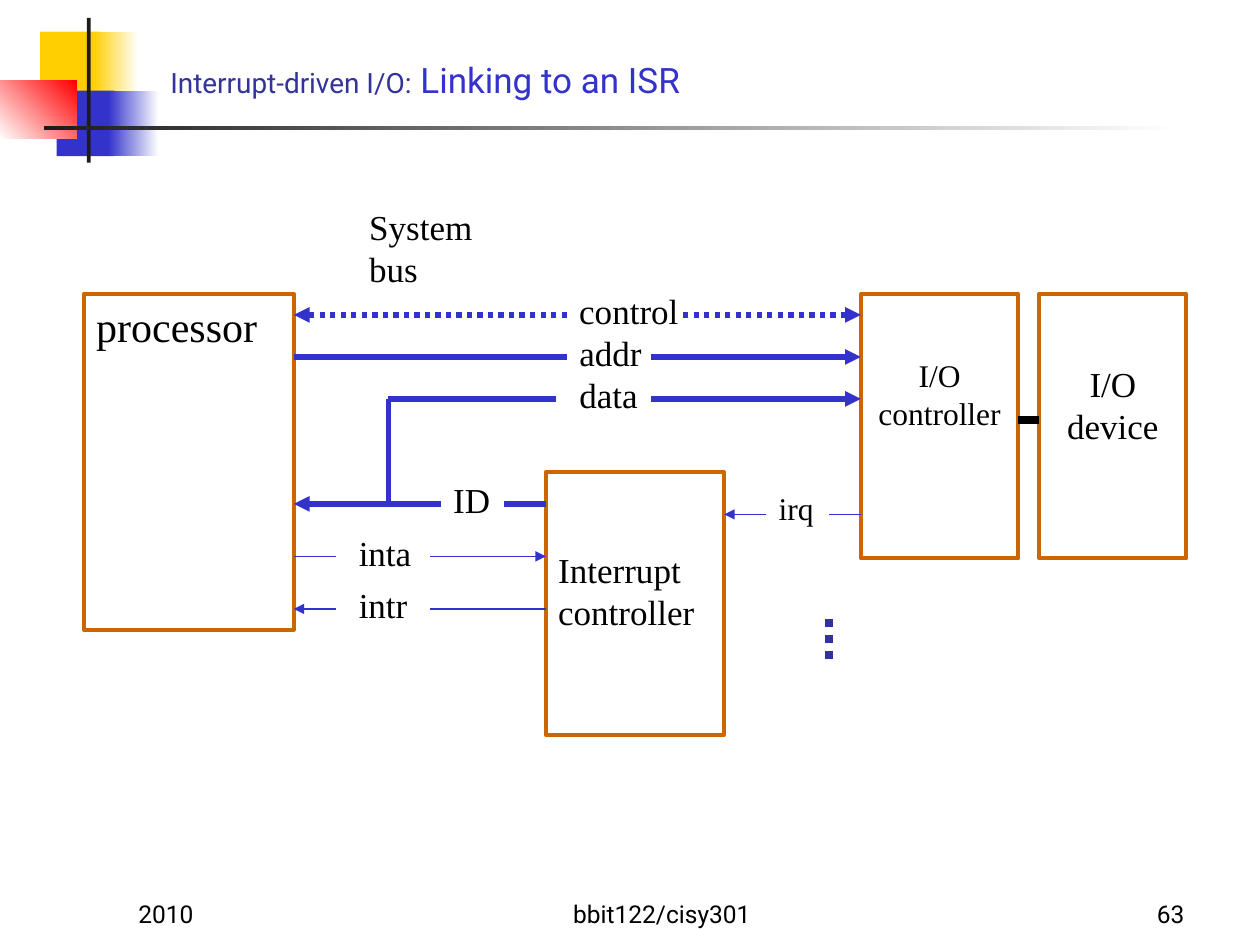
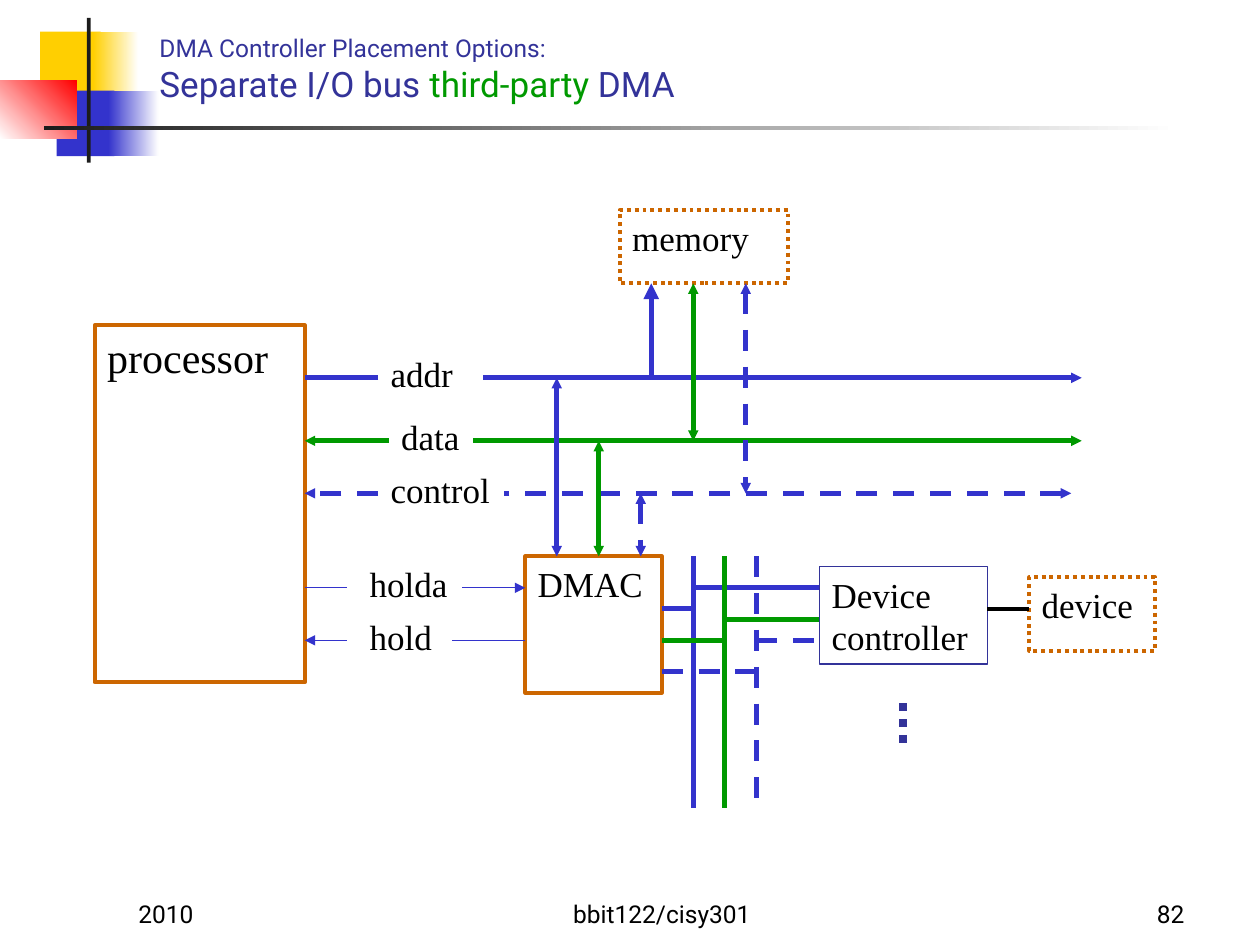
from dataclasses import dataclass, replace

from lxml.etree import SubElement
from pptx import Presentation
from pptx.dml.color import RGBColor
from pptx.enum.dml import MSO_LINE
from pptx.enum.shapes import MSO_CONNECTOR, MSO_SHAPE
from pptx.enum.text import MSO_ANCHOR, MSO_AUTO_SIZE, PP_ALIGN
from pptx.oxml.ns import qn
from pptx.util import Cm, Pt


@dataclass(frozen=True)
class Theme:
    black: RGBColor = RGBColor(0, 0, 0)
    white: RGBColor = RGBColor(0xFF, 0xFF, 0xFF)
    ink: RGBColor = RGBColor(0x1C, 0x1C, 0x1C)
    navy: RGBColor = RGBColor(0x33, 0x33, 0x99)
    blue: RGBColor = RGBColor(0x33, 0x33, 0xCC)
    green: RGBColor = RGBColor(0, 0x99, 0)
    orange: RGBColor = RGBColor(0xCC, 0x66, 0)
    yellow: RGBColor = RGBColor(0xFF, 0xCF, 0x01)
    red: RGBColor = RGBColor(0xFF, 0, 0)
    heading_font: str = "Roboto"
    diagram_font: str = "Times New Roman"
    title_size: int = 20
    lead_size: int = 16
    small_lead_size: int = 14
    footer_size: int = 14
    processor_size: int = 24
    label_size: int = 20
    small_label_size: int = 18


THEME = Theme()


@dataclass(frozen=True)
class Pen:
    color: RGBColor
    width: float
    dash: MSO_LINE = None
    head_size: str = "med"

    def apply(self, line):
        line.color.rgb = self.color
        line.width = Pt(self.width)
        if self.dash:
            line.dash_style = self.dash


OUTLINE = Pen(THEME.orange, 2.25)
DOTTED_OUTLINE = replace(OUTLINE, dash=MSO_LINE.ROUND_DOT)
SIGNAL = Pen(THEME.blue, 0.75)
BUS = Pen(THEME.blue, 3)
DOTTED_BUS = replace(BUS, dash=MSO_LINE.ROUND_DOT)
ADDR = replace(BUS, head_size="sm")
DATA = replace(ADDR, color=THEME.green)
CONTROL = replace(ADDR, dash=MSO_LINE.DASH)
ELLIPSIS = Pen(THEME.navy, 4.5, MSO_LINE.ROUND_DOT)


def write(frame, text, font, size, align=PP_ALIGN.LEFT):
    frame.word_wrap = True
    para = frame.paragraphs[0]
    para.text = text
    para.alignment = align
    para.font.name = font
    para.font.size = Pt(size)
    para.font.color.rgb = THEME.black


@dataclass
class Diagram:
    """A drawing area whose parts sit on a grid of twelve steps to the inch."""
    page: object
    left: float
    top: float
    step: float = 2.54 / 12

    def x(self, steps):
        return Cm(self.left + steps * self.step)

    def y(self, steps):
        return Cm(self.top + steps * self.step)

    def size(self, steps):
        return Cm(steps * self.step)

    def block(self, text, left, top, width, height, pen=OUTLINE,
              size=THEME.label_size, align=PP_ALIGN.LEFT, text_top=0.13):
        shape = self.page.shapes.add_shape(
            MSO_SHAPE.RECTANGLE, self.x(left), self.y(top),
            self.size(width), self.size(height))
        shape.shadow.inherit = False
        shape.fill.background()
        pen.apply(shape.line)
        frame = shape.text_frame
        frame.vertical_anchor = MSO_ANCHOR.TOP
        frame.margin_top = Cm(text_top)
        write(frame, text, THEME.diagram_font, size, align)

    def label(self, text, left, wire_y, width, size=THEME.label_size):
        """Text whose first line is level with a wire."""
        box = self.page.shapes.add_textbox(
            self.x(left), self.y(wire_y - 3), self.size(width), self.size(5.25))
        write(box.text_frame, text, THEME.diagram_font, size)

    def wire(self, start, end, pen, heads=""):
        """A line; heads may name "start", "end" or both."""
        line = self.page.shapes.add_connector(
            MSO_CONNECTOR.STRAIGHT, self.x(start[0]), self.y(start[1]),
            self.x(end[0]), self.y(end[1]))
        pen.apply(line.line)
        for place, tag in (("start", "a:headEnd"), ("end", "a:tailEnd")):
            if place in heads:
                SubElement(line.line._get_or_add_ln(), qn(tag), type="triangle",
                           w=pen.head_size, len=pen.head_size)
        SubElement(line._element.spPr, qn("a:effectLst"))

    def signal(self, name, y, span, gap, name_at, pen, heads, size=THEME.label_size):
        """A named wire, broken by its name; heads: left, right or both."""
        right_head = "start" if "right" in heads else ""
        left_head = "end" if "left" in heads else ""
        self.wire((span[1], y), (gap[1], y), pen, right_head)
        self.wire((gap[0], y), (span[0], y), pen, left_head)
        self.label(name, name_at[0], y, name_at[1], size)


# Shared parts of every slide

def paint_band(page, left, top, width, height, start, end=None, angle=0):
    band = page.shapes.add_shape(MSO_SHAPE.RECTANGLE, Cm(left), Cm(top),
                                 Cm(width), Cm(height))
    band.shadow.inherit = False
    band.line.fill.background()
    if end is None:
        band.fill.solid()
        band.fill.fore_color.rgb = start
        return
    band.fill.gradient()
    band.fill.gradient_angle = angle
    for stop, color in zip(band.fill.gradient_stops, (start, end)):
        stop.color.rgb = color


def add_bands(page):
    paint_band(page, 0.81, 0.64, 1.22, 1.32, THEME.yellow)
    paint_band(page, 1.88, 0.64, 0.91, 1.32, THEME.yellow, THEME.white)
    paint_band(page, 1.14, 1.83, 1.17, 1.32, THEME.blue)
    paint_band(page, 2.18, 1.83, 1.02, 1.32, THEME.blue, THEME.white)
    paint_band(page, 0, 1.63, 1.55, 1.17, THEME.white, THEME.red, 45)
    paint_band(page, 1.75, 0.36, 0.08, 2.92, THEME.ink)
    paint_band(page, 0.89, 2.54, 22.86, 0.08, THEME.ink, THEME.white)


def add_footer(page, number):
    for text, left, width, align in (
            ("2010", 2.54, 5.28, PP_ALIGN.LEFT),
            ("bbit122/cisy301", 9.32, 8.05, PP_ALIGN.CENTER),
            (number, 18.85, 5.28, PP_ALIGN.RIGHT)):
        box = page.shapes.add_textbox(Cm(left), Cm(17.58), Cm(width), Cm(1.27))
        box.text_frame.vertical_anchor = MSO_ANCHOR.BOTTOM
        write(box.text_frame, text, THEME.heading_font, THEME.footer_size, align)


def add_title(page, left, height, spans):
    title = page.shapes.title
    title.left, title.top = Cm(left), Cm(0.64)
    title.width, title.height = Cm(21.59), Cm(height)
    frame = title.text_frame
    frame.auto_size = MSO_AUTO_SIZE.NONE
    frame.vertical_anchor = MSO_ANCHOR.MIDDLE
    para = frame.paragraphs[0]
    para.alignment = PP_ALIGN.LEFT
    para.font.name = THEME.heading_font
    for text, size, color in spans:
        span = para.add_run()
        span.text = text.rstrip("\n")
        span.font.name = THEME.heading_font
        span.font.size = Pt(size)
        span.font.color.rgb = color
        if text.endswith("\n"):
            para.add_line_break()


def add_page(deck, number, title_left, title_height, title_spans):
    page = deck.slides.add_slide(deck.slide_layouts[5])
    add_bands(page)
    add_title(page, title_left, title_height, title_spans)
    add_footer(page, number)
    return page


# Diagrams

def draw_interrupt_link(area):
    # Blocks
    area.block("processor", 0, 9, 20, 32, size=THEME.processor_size)
    area.block("Interrupt controller", 44, 26, 17, 25, text_top=1.54)
    area.block("I/O controller", 74, 9, 15, 25.2, size=THEME.small_label_size,
               align=PP_ALIGN.CENTER, text_top=1.25)
    area.block("I/O device", 91, 9, 14, 25.2, align=PP_ALIGN.CENTER, text_top=1.38)
    area.wire((89, 21), (91, 21), Pen(THEME.black, 4.5))

    # System bus
    area.label("System bus", 26, 3, 17)
    area.signal("control", 11, (20, 74), (46, 57), (46, 12), DOTTED_BUS, "left right")
    area.signal("addr", 15, (20, 74), (46, 54), (46, 10), BUS, "right")
    area.signal("data", 19, (29, 74), (45, 54), (46, 8), BUS, "right")
    area.signal("ID", 29, (20, 44), (34, 40), (34, 6), BUS, "left")
    area.wire((29, 29), (29, 19), BUS)

    # Interrupt lines
    area.signal("irq", 30, (61, 74), (65, 71), (65, 6), SIGNAL, "left",
                THEME.small_label_size)
    area.signal("inta", 34, (20, 44), (24, 33), (25, 8), SIGNAL, "right")
    area.signal("intr", 39, (20, 44), (24, 33), (25, 8), SIGNAL, "left")
    area.wire((71, 40), (71, 44), ELLIPSIS)


def draw_dma_placement(area):
    # Blocks
    area.block("processor", 0, 11, 20, 34, size=THEME.processor_size)
    area.block("memory", 50, 0, 16, 7, DOTTED_OUTLINE)
    area.block("DMAC", 41, 33, 13, 13)
    area.block("Device controller", 69, 34, 16, 9.25, Pen(THEME.navy, 0.75))
    area.block("device", 89, 35, 12, 7, DOTTED_OUTLINE)
    area.wire((85, 38), (89, 38), Pen(THEME.black, 2.25))

    # System bus and hold handshake
    area.signal("addr", 16, (20, 94), (27, 37), (27, 10), ADDR, "right")
    area.signal("data", 22, (20, 94), (28, 36), (28, 8), DATA, "left right")
    area.signal("control", 27, (20, 93), (27, 39), (27, 13), CONTROL, "left right")
    area.signal("holda", 36, (20, 41), (24, 35), (25, 11), SIGNAL, "right")
    area.signal("hold", 41, (20, 41), (24, 34), (25, 10), SIGNAL, "left")

    # Taps from the bus to memory and to the DMAC
    area.wire((53, 16), (53, 7), BUS, "end")
    for x, start, end, pen in ((57, 22, 7, DATA), (62, 7, 27, CONTROL),
                               (44, 33, 16, ADDR), (48, 33, 22, DATA),
                               (52, 27, 33, CONTROL)):
        area.wire((x, start), (x, end), pen, "start end")

    # Separate I/O bus with its branches
    for x, dmac_y, device_y, pen in ((57, 38, 36, ADDR), (60, 41, 39, DATA),
                                     (63, 44, 41, CONTROL)):
        area.wire((x, 33), (x, 57), pen)
        area.wire((54, dmac_y), (x, dmac_y), pen)
        area.wire((x, device_y), (69, device_y), pen)
    area.wire((77, 47), (77, 51), ELLIPSIS)


def main():
    deck = Presentation()
    deck.slide_width, deck.slide_height = Cm(25.4), Cm(19.05)

    page = add_page(deck, "63", 3.18, 1.91, (
        ("Interrupt-driven I/O:", THEME.lead_size, THEME.navy),
        (" ", THEME.title_size, THEME.navy),
        ("Linking to an ISR", THEME.title_size, THEME.blue)))
    draw_interrupt_link(Diagram(page, 1.69, 4.02))

    page = add_page(deck, "82", 2.96, 1.48, (
        ("DMA Controller Placement Options: \n", THEME.small_lead_size, THEME.navy),
        ("Separate I/O bus ", THEME.title_size, THEME.navy),
        ("third-party", THEME.title_size, THEME.green),
        (" DMA", THEME.title_size, THEME.navy)))
    draw_dma_placement(Diagram(page, 1.91, 4.23))

    deck.save("out.pptx")


if __name__ == "__main__":
    main()
